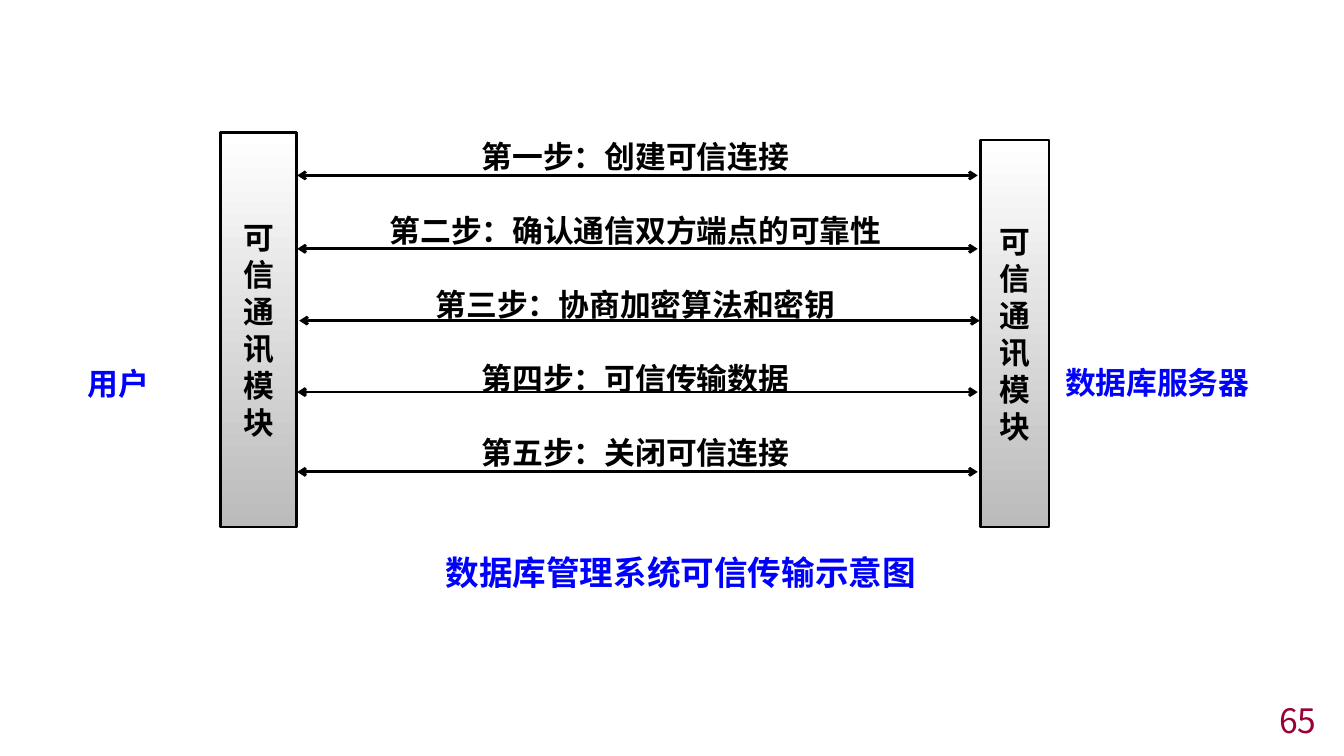
from pptx import Presentation
from pptx.dml.color import RGBColor
from pptx.enum.shapes import MSO_CONNECTOR as Connector, MSO_SHAPE as Shape
from pptx.enum.text import MSO_ANCHOR as Anchor, MSO_AUTO_SIZE as AutoSize, PP_ALIGN as Align
from pptx.oxml.ns import qn
from pptx.util import Cm, Pt
from lxml.etree import SubElement

COLORS = {"ink": "000000", "label": "0000FF", "number": "990033",
          "module_top": "FFFFFF", "module_bottom": "BBBBBB"}
STEPS = ["第一步：创建可信连接", "第二步：确认通信双方端点的可靠性",
         "第三步：协商加密算法和密钥", "第四步：可信传输数据", "第五步：关闭可信连接"]
ARROWS = [(7.49, 4.42), (7.49, 6.27), (7.54, 8.08), (7.49, 9.88), (7.49, 11.89)]
ARROW_LENGTH = 17.15
MODULES = [(5.56, 3.35, 1.91, 9.93), (24.71, 3.53, 1.73, 9.75)]


class TransferPage:
    serif = "Times New Roman"
    sans = "Arial"
    number_font = "Noto Sans CJK SC"
    line_width = Pt(2)

    def __init__(self, deck):
        self.page = deck.slides.add_slide(deck.slide_layouts[5])

    def color(self, name):
        return RGBColor.from_string(COLORS[name])

    def fill_text(self, box, lines, font, color, size=22, align=Align.CENTER,
                  anchor=Anchor.TOP, bold=True, wrap=True, gap=0):
        frame = box.text_frame
        frame.auto_size = AutoSize.NONE
        frame.word_wrap = wrap
        frame.vertical_anchor = anchor
        for index, line in enumerate(lines):
            para = frame.add_paragraph() if index else frame.paragraphs[0]
            para.alignment = align
            para.space_before = Pt(gap if index else 0)
            span = para.add_run()
            span.text = line
            span.font.name = font
            span.font.size = Pt(size)
            span.font.bold = bold
            span.font.color.rgb = self.color(color)

    def title(self, place, text):
        box = self.page.shapes.title
        box.left, box.top, box.width, box.height = map(Cm, place)
        self.fill_text(box, [text], self.serif, "label", size=24)

    def text(self, place, lines, font, color, **style):
        box = self.page.shapes.add_textbox(*map(Cm, place))
        self.fill_text(box, lines, font, color, **style)

    def module(self, place, text):
        box = self.page.shapes.add_shape(Shape.RECTANGLE, *map(Cm, place))
        box.shadow.inherit = False
        box.fill.gradient()
        box.fill.gradient_angle = 270
        for stop, position, name in zip(box.fill.gradient_stops, (0, 1),
                                        ("module_top", "module_bottom")):
            stop.position = position
            stop.color.rgb = self.color(name)
        box.line.color.rgb = self.color("ink")
        box.line.width = self.line_width
        self.fill_text(box, text, self.serif, "ink", anchor=Anchor.MIDDLE, wrap=False)

    def arrow(self, left, top):
        arrow = self.page.shapes.add_connector(
            Connector.STRAIGHT, Cm(left), Cm(top), Cm(left + ARROW_LENGTH), Cm(top))
        arrow.line.color.rgb = self.color("ink")
        arrow.line.width = self.line_width
        outline = arrow.line._get_or_add_ln()
        for end in ("a:headEnd", "a:tailEnd"):
            SubElement(outline, qn(end), type="arrow")
        SubElement(arrow._element.spPr, qn("a:effectLst"))


def main():
    deck = Presentation()
    deck.slide_width, deck.slide_height = Cm(33.87), Cm(19.05)
    page = TransferPage(deck)
    page.title((7.87, 13.79, 18.57, 1.27), "数据库管理系统可信传输示意图")
    page.text((5.08, 3.35, 21.87, 8.71), STEPS, page.serif, "ink", gap=26.4)
    for left, top in ARROWS:
        page.arrow(left, top)
    for place in MODULES:
        page.module(place, "可信通讯模块")
    page.text((1.96, 9.07, 2.08, 1.19), ["用户"], page.sans, "label",
              align=Align.LEFT, wrap=False)
    page.text((26.59, 9.04, 5.23, 1.19), ["数据库服务器"], page.sans, "label",
              align=Align.LEFT, wrap=False)
    page.text((26.24, 17.75, 7.19, 0.79), ["65"], page.number_font, "number", size=24,
              align=Align.RIGHT, anchor=Anchor.MIDDLE, bold=False)
    deck.save("out.pptx")


if __name__ == "__main__":
    main()
